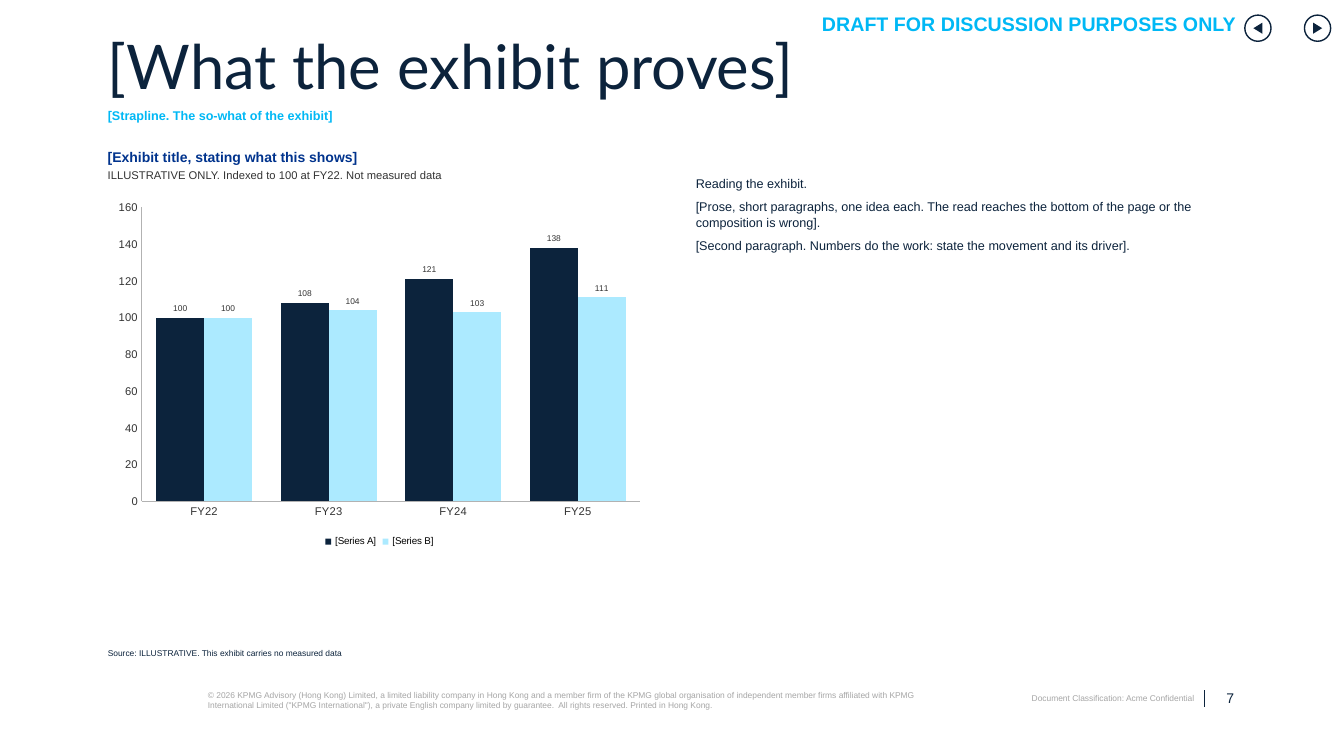
from lxml import etree
from pptx import Presentation
from pptx import util as u
from pptx.chart import data as chart_data
from pptx.dml import color
from pptx.enum import chart as chart_enum
from pptx.enum import shapes, text
from pptx.oxml import ns

NAVY, CYAN, BLUE = "0C233C", "00B8F5", "00338D"
PALE, DARK, GREY, AXIS = "ACEAFF", "333333", "A6A6A6", "B2B2B2"
LEFT, WIDTH, COLUMN = 77, 805, 388
PROSE = [
    "Reading the exhibit.",
    "[Prose, short paragraphs, one idea each. The read reaches the bottom of the page or the composition is wrong].",
    "[Second paragraph. Numbers do the work: state the movement and its driver].",
]
COPYRIGHT = (
    "© 2026 KPMG Advisory (Hong Kong) Limited, a limited liability company in Hong Kong and a member firm "
    "of the KPMG global organisation of independent member firms affiliated with KPMG International Limited "
    "(\"KPMG International\"), a private English company limited by guarantee.  All rights reserved. "
    "Printed in Hong Kong."
)
SERIES = [
    ("[Series A]", (100, 108, 121, 138), NAVY),
    ("[Series B]", (100, 104, 103, 111), PALE),
]


def rgb(value):
    return color.RGBColor.from_string(value)


def set_font(font, size, colour, bold=False, name="Arial"):
    font.name = name
    font.size = u.Pt(size)
    font.bold = bold
    font.color.rgb = rgb(colour)


def add_text(slide, box, content, size=9, colour=NAVY, bold=False, name="Arial", align="LEFT",
             anchor="TOP", insets=(0, 0, 0, 0), spacing=None, after=0):
    frame = slide.shapes.add_textbox(*map(u.Pt, box)).text_frame
    frame.word_wrap = True
    frame.vertical_anchor = getattr(text.MSO_ANCHOR, anchor)
    frame.margin_left, frame.margin_top, frame.margin_right, frame.margin_bottom = map(u.Pt, insets)
    lines = [content] if isinstance(content, str) else content
    for index, line in enumerate(lines):
        paragraph = frame.add_paragraph() if index else frame.paragraphs[0]
        paragraph.alignment = getattr(text.PP_ALIGN, align)
        paragraph.space_after = u.Pt(after)
        if spacing:
            paragraph.line_spacing = spacing
        run = paragraph.add_run()
        run.text = line
        set_font(run.font, size, colour, bold, name)


def add_arrow_button(slide, box, rotation):
    left, top, size = box
    ring = slide.shapes.add_shape(shapes.MSO_SHAPE.OVAL, *map(u.Pt, (left, top, size, size)))
    ring.shadow.inherit = False
    ring.fill.background()
    ring.line.color.rgb = rgb(NAVY)
    ring.line.width = u.Pt(1)
    base, height = 8, 6.5
    triangle_box = (left + (size - base) / 2, top + (size - height) / 2, base, height)
    triangle = slide.shapes.add_shape(shapes.MSO_SHAPE.ISOSCELES_TRIANGLE, *map(u.Pt, triangle_box))
    triangle.shadow.inherit = False
    triangle.rotation = rotation
    triangle.fill.solid()
    triangle.fill.fore_color.rgb = rgb(NAVY)
    triangle.line.fill.background()


def add_header(slide, box):
    left, top, width = box
    add_text(slide, (571, 0, 312, 34.5), "DRAFT FOR DISCUSSION PURPOSES ONLY", size=14, colour=CYAN,
             bold=True, align="RIGHT", anchor="MIDDLE", insets=(0, 3, 0, 0), spacing=0.8)
    for button_left, rotation in ((889.2, 270), (931.8, 90)):
        add_arrow_button(slide, (button_left, 10.8, 18.7), rotation)
    add_text(slide, (left, top, width, 42.5), "[What the exhibit proves]", size=44, name="Lato", spacing=0.7)
    add_text(slide, (left, top + 42.5, width, 28), "[Strapline. The so-what of the exhibit]",
             colour=CYAN, bold=True, after=6)


def add_index_chart(slide, box):
    data = chart_data.CategoryChartData(number_format="#,##0")
    data.categories = ["FY22", "FY23", "FY24", "FY25"]
    for name, values, _ in SERIES:
        data.add_series(name, values)
    kind = chart_enum.XL_CHART_TYPE.COLUMN_CLUSTERED
    chart = slide.shapes.add_chart(kind, *map(u.Pt, box), data).chart
    set_font(chart.font, 8, DARK)
    chart.has_title = False
    chart.has_legend = True
    chart.legend.position = chart_enum.XL_LEGEND_POSITION.BOTTOM
    chart.legend.include_in_layout = False
    set_font(chart.legend.font, 7, "000000")
    for axis in (chart.category_axis, chart.value_axis):
        axis.has_major_gridlines = False
        axis.major_tick_mark = axis.minor_tick_mark = chart_enum.XL_TICK_MARK.NONE
        axis.format.line.color.rgb = rgb(AXIS)
        axis.format.line.width = u.Pt(0.75)
        set_font(axis.tick_labels.font, 8, DARK)
    chart.value_axis.minimum_scale = 0
    chart.value_axis.tick_labels.number_format = "#,##0"
    chart.value_axis.tick_labels.number_format_is_linked = False
    plot = chart.plots[0]
    plot.gap_width = 60
    plot.overlap = 0
    plot.vary_by_categories = False
    for series, (_, _, colour) in zip(plot.series, SERIES):
        series.format.fill.solid()
        series.format.fill.fore_color.rgb = rgb(colour)
        labels = series.data_labels
        labels.show_value = True
        labels.number_format = "#,##0"
        labels.number_format_is_linked = False
        labels.position = chart_enum.XL_LABEL_POSITION.OUTSIDE_END
        set_font(labels.font, 6, DARK)


def add_exhibit(slide, box):
    left, top, width = box
    add_text(slide, (left, top, width, 14.5), "[Exhibit title, stating what this shows]",
             size=10, colour=BLUE, bold=True)
    add_text(slide, (left, top + 14.5, width, 12),
             "ILLUSTRATIVE ONLY. Indexed to 100 at FY22. Not measured data", size=8, colour=DARK)
    add_index_chart(slide, (left, top + 32.5, width, 255))


def add_footer(slide, box):
    left, top, width = box
    right = left + width
    add_text(slide, (left, top - 30, width, 28),
             "Source: ILLUSTRATIVE. This exhibit carries no measured data", size=6)
    add_text(slide, (left + 71.5, top, 512.5, 14.5), COPYRIGHT, size=6, colour=GREY)
    add_text(slide, (right - 176, top + 2, 147, 7.5), "Document Classification: Acme Confidential",
             size=6, colour=GREY, align="RIGHT")
    add_text(slide, (right - 20, top, 19.5, 11.5), "7", size=10, align="RIGHT", anchor="BOTTOM")
    rule = slide.shapes.add_connector(
        shapes.MSO_CONNECTOR.STRAIGHT, *map(u.Pt, (right - 21.5, top, right - 21.5, top + 12)))
    rule.line.color.rgb = rgb(NAVY)
    rule.line.width = u.Pt(0.5)
    etree.SubElement(rule.element.spPr, ns.qn("a:effectLst"))


def main():
    presentation = Presentation()
    presentation.slide_width = u.Pt(960)
    presentation.slide_height = u.Pt(540)
    slide = presentation.slides.add_slide(presentation.slide_layouts[6])
    add_header(slide, (LEFT, 34.5, WIDTH))
    add_exhibit(slide, (LEFT, 106, COLUMN))
    add_text(slide, (LEFT + WIDTH - COLUMN, 122.5, COLUMN, 340.5), PROSE, insets=(3, 3, 3, 3), after=6)
    add_footer(slide, (LEFT, 493, WIDTH))
    presentation.save("out.pptx")


if __name__ == "__main__":
    main()
